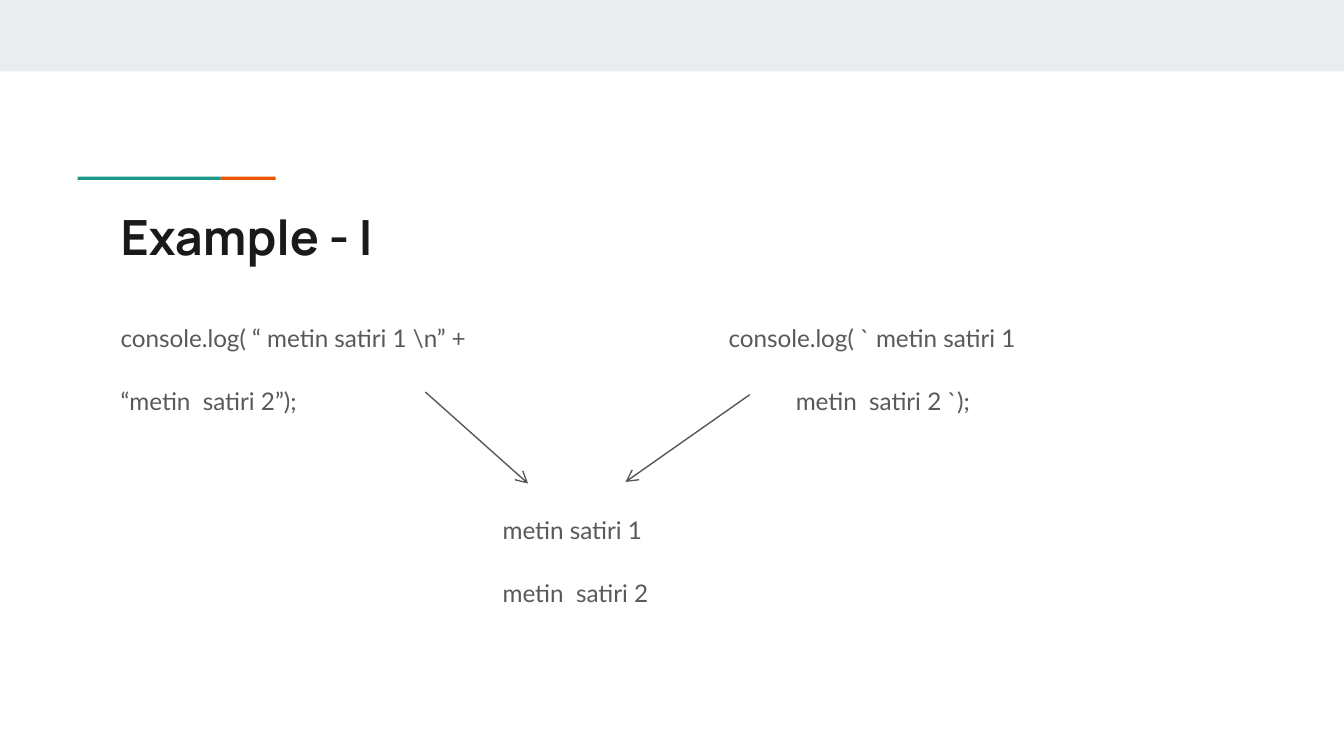
from dataclasses import dataclass

from lxml.etree import SubElement
from pptx import Presentation
from pptx.dml.color import RGBColor
from pptx.enum.shapes import MSO_CONNECTOR, MSO_SHAPE
from pptx.enum.text import MSO_ANCHOR, PP_ALIGN
from pptx.oxml.ns import qn
from pptx.util import Cm, Pt


@dataclass(frozen=True)
class Theme:
    band: str = "E9EDEE"
    teal: str = "1A9988"
    orange: str = "EB5600"
    title: str = "1A1A1A"
    body: str = "595959"
    arrow: str = "575757"
    title_font: str = "Manrope"
    body_font: str = "Lato"
    title_size: int = 26
    body_size: int = 13
    line_width: float = 0.75


THEME = Theme()


def add_bar(s, x, y, w, h, color):
    sp = s.shapes.add_shape(MSO_SHAPE.RECTANGLE, Cm(x), Cm(y), Cm(w), Cm(h))
    sp.shadow.inherit = False
    sp.fill.solid()
    sp.fill.fore_color.rgb = RGBColor.from_string(color)
    sp.line.fill.background()


def add_text(s, x, y, w, h, text, font, size, color, bold=False):
    sp = s.shapes.add_textbox(Cm(x), Cm(y), Cm(w), Cm(h))
    tf = sp.text_frame
    tf.word_wrap = True
    tf.vertical_anchor = MSO_ANCHOR.TOP
    tf.margin_left = tf.margin_right = Cm(0.25)
    tf.margin_top = tf.margin_bottom = Cm(0.25)
    tf.text = text
    for p in tf.paragraphs:
        p.alignment = PP_ALIGN.LEFT
        for r in p.runs:
            r.font.name = font
            r.font.size = Pt(size)
            r.font.bold = bold
            r.font.color.rgb = RGBColor.from_string(color)
    return tf


def add_title(s, text):
    add_text(s, 2.03, 3.66, 21.36, 1.5, text, THEME.title_font,
             THEME.title_size, THEME.title, bold=True)


def add_code(s, x, y, lines):
    tf = add_text(s, x, y, 7.29, 2.41, "\n".join(lines), THEME.body_font,
                  THEME.body_size, THEME.body)
    for p in tf.paragraphs:
        p.line_spacing = 1.15
        p.space_after = Pt(16)


def add_arrow(s, x1, y1, x2, y2):
    line = s.shapes.add_connector(MSO_CONNECTOR.STRAIGHT,
                                  Cm(x1), Cm(y1), Cm(x2), Cm(y2))
    line.line.color.rgb = RGBColor.from_string(THEME.arrow)
    line.line.width = Pt(THEME.line_width)
    SubElement(line.line._get_or_add_ln(), qn("a:tailEnd"), type="arrow")
    SubElement(line._element.spPr, qn("a:effectLst"))


def main():
    prs = Presentation()
    prs.slide_width, prs.slide_height = Cm(25.4), Cm(14.29)
    s = prs.slides.add_slide(prs.slide_layouts[6])

    add_bar(s, 0, 0, 25.4, 1.35, THEME.band)
    add_bar(s, 4.17, 3.34, 1.04, 0.06, THEME.orange)
    add_bar(s, 1.47, 3.34, 2.7, 0.06, THEME.teal)

    add_title(s, "Example - I")
    add_code(s, 2.03, 5.77, [r"console.log( “ metin satiri 1 \n” +",
                             "“metin  satiri 2”);"])
    add_code(s, 13.52, 5.77, ["console.log( ` metin satiri 1",
                              "\tmetin  satiri 2 `);"])
    add_code(s, 9.25, 9.4, ["metin satiri 1", "metin  satiri 2"])

    add_arrow(s, 8.04, 7.41, 9.98, 9.14)
    add_arrow(s, 14.17, 7.46, 11.82, 9.11)

    prs.save("out.pptx")


if __name__ == "__main__":
    main()
